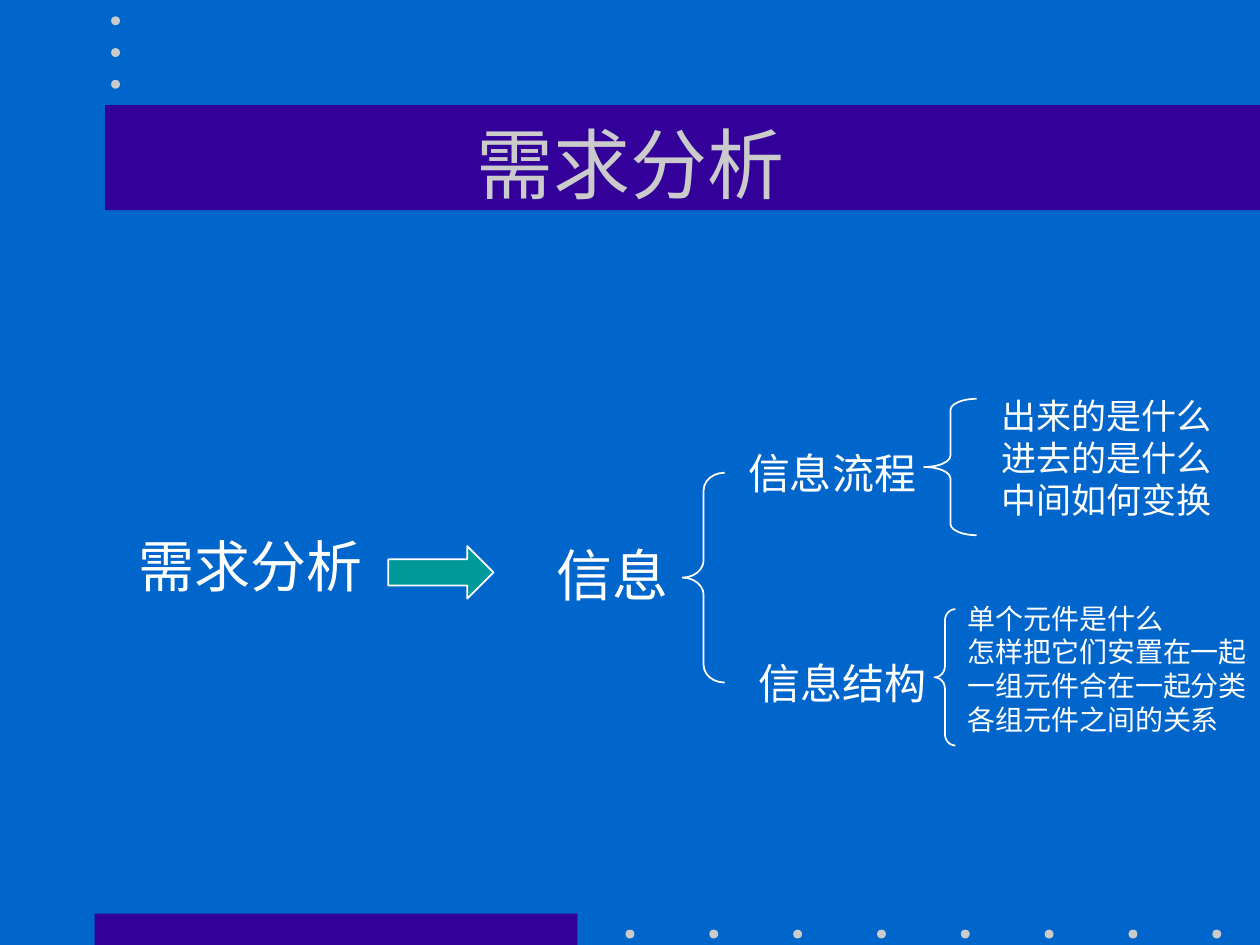
from dataclasses import dataclass

from pptx import Presentation
from pptx.dml.color import RGBColor
from pptx.enum.shapes import MSO_SHAPE
from pptx.enum.text import MSO_ANCHOR, MSO_AUTO_SIZE, PP_ALIGN
from pptx.util import Cm, Pt

RECT, OVAL = MSO_SHAPE.RECTANGLE, MSO_SHAPE.OVAL
ARROW, BRACE = MSO_SHAPE.RIGHT_ARROW, MSO_SHAPE.LEFT_BRACE
LEFT, CENTER = PP_ALIGN.LEFT, PP_ALIGN.CENTER
MIDDLE = MSO_ANCHOR.MIDDLE
FIT = MSO_AUTO_SIZE.SHAPE_TO_FIT_TEXT


@dataclass(frozen=True)
class Theme:
    back: str = "0066CC"
    band: str = "330099"
    soft: str = "CBCBCB"
    ink: str = "FFFFFF"
    arrow: str = "009999"
    font: str = "Times New Roman"
    title: int = 44
    head: int = 32
    topic: int = 24
    note: int = 20
    small: int = 16
    line: int = 1


def color(code):
    return RGBColor.from_string(code)


def apply(target, values):
    for name, value in values.items():
        setattr(target, name, value)


class Board:
    def __init__(self, slide, theme):
        self.slide, self.theme = slide, theme
        fill = slide.background.fill
        fill.solid()
        fill.fore_color.rgb = color(theme.back)

    def shape(self, kind, box, fill=None, line=None):
        item = self.slide.shapes.add_shape(kind, *map(Cm, box))
        item.shadow.inherit = False
        if fill:
            item.fill.solid()
            item.fill.fore_color.rgb = color(fill)
        else:
            item.fill.background()
        if line:
            item.line.color.rgb = color(line)
            item.line.width = Pt(self.theme.line)
        else:
            item.line.fill.background()
        return item

    def dots(self, left, top, count, across=0, down=0):
        for i in range(count):
            box = (left + i * across, top + i * down, 0.18, 0.18)
            self.shape(OVAL, box, self.theme.soft)

    def brace(self, box):
        """Draw a left brace whose curves are each a twelfth of its height."""
        item = self.shape(BRACE, box, line=self.theme.ink)
        item.adjustments[0] = box[3] / 12 / box[2]

    def text(self, lines, box, size, ink=None, align=LEFT, **frame):
        area = self.slide.shapes.add_textbox(*map(Cm, box)).text_frame
        apply(area, {"word_wrap": False, "auto_size": FIT, **frame})
        area.text = "\n".join(lines)
        for para in area.paragraphs:
            para.alignment = align
            apply(para.font, {"name": self.theme.font, "size": Pt(size)})
            para.font.color.rgb = color(ink or self.theme.ink)


def main():
    deck = Presentation()
    apply(deck, {"slide_width": Cm(25.4), "slide_height": Cm(19.05)})
    theme = Theme()
    board = Board(deck.slides.add_slide(deck.slide_layouts[6]), theme)

    board.shape(RECT, (1.91, 18.42, 9.73, 0.63), theme.band)
    board.dots(12.61, 18.74, 8, across=1.69)
    board.shape(RECT, (2.12, 2.12, 23.28, 2.12), theme.band)
    board.dots(2.24, 0.33, 3, down=0.64)
    board.text(["需求分析"], (1.91, 1.69, 21.59, 3.18), theme.title, theme.soft,
               CENTER, word_wrap=True, auto_size=None, vertical_anchor=MIDDLE)

    board.shape(ARROW, (7.83, 11.01, 2.12, 1.06), theme.arrow, theme.ink)
    for box in (
        (13.76, 9.53, 0.85, 4.23),
        (18.63, 8.04, 1.06, 2.75),
        (18.84, 12.28, 0.42, 2.75),
    ):
        board.brace(box)

    flow = ["出来的是什么", "进去的是什么", "中间如何变换"]
    for lines, box, size in (
        (["需求分析"], (2.54, 10.6, 5.03, 1.62), theme.head),
        (["信息"], (10.97, 10.77, 2.77, 1.62), theme.head),
        (["信息流程"], (14.83, 8.89, 3.89, 1.28), theme.topic),
        (["信息结构"], (15.04, 13.12, 3.89, 1.28), theme.topic),
        (flow, (19.94, 7.83, 4.75, 2.8), theme.note),
    ):
        board.text(lines, box, size)

    # The widest line needs the room of the right margin.
    parts = ["单个元件是什么", "怎样把它们安置在一起",
             "一组元件合在一起分类", "各组元件之间的关系"]
    board.text(parts, (19.26, 12, 6.12, 2.98), theme.small,
               word_wrap=True, margin_right=0)

    deck.save("out.pptx")


if __name__ == "__main__":
    main()
